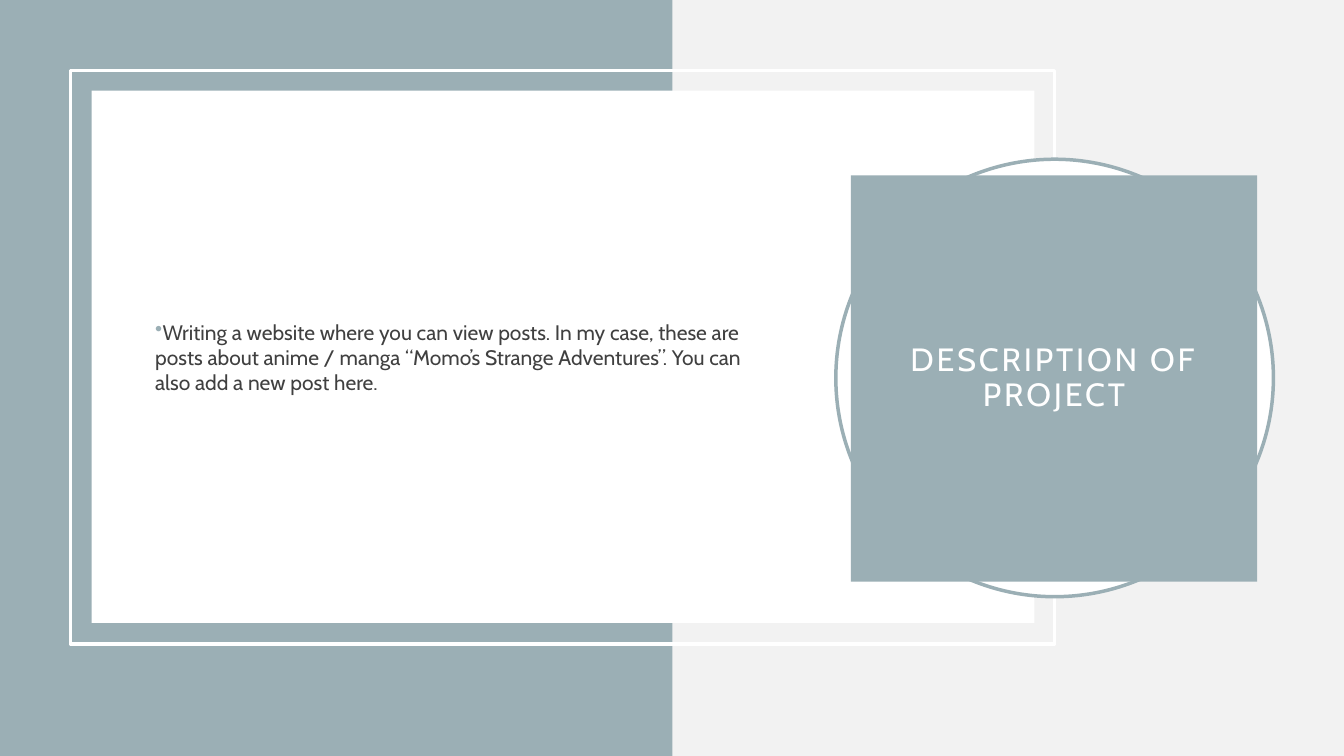
from dataclasses import dataclass, field
from typing import Optional

from lxml import etree
from pptx import Presentation
from pptx import util as u
from pptx.dml.color import RGBColor
from pptx.enum import shapes, text
from pptx.oxml import ns

TEAL, WHITE, PALE, DARK = "9BAFB5", "FFFFFF", "F2F2F2", "404040"
RECTANGLE = shapes.MSO_SHAPE.RECTANGLE
OVAL = shapes.MSO_SHAPE.OVAL


@dataclass
class Panel:
    box: tuple[float, float, float, float]
    kind: int = RECTANGLE
    fill: Optional[str] = None
    line: Optional[str] = None


@dataclass
class Caption:
    wording: str
    size: float
    color: str
    inset: Optional[float] = None
    paragraph_format: dict = field(default_factory=dict)


BACK_PANELS = [
    Panel((0, 0, 6.67, 7.5), fill=TEAL),
    Panel((0.7, 0.7, 9.76, 5.69), line=WHITE),
    Panel((0.91, 0.9, 9.35, 5.28), fill=WHITE),
    Panel((8.29, 1.58, 4.34, 4.34), OVAL, WHITE, TEAL),
]
TITLE_PANEL = Panel((8.44, 1.74, 4.03, 4.03), fill=TEAL)
BODY_BOX = (1.44, 1.4, 6.25, 4.28)

TITLE = Caption(
    "DESCRIPTION OF PROJECT", 23, WHITE, 0.2,
    {"alignment": text.PP_ALIGN.CENTER, "line_spacing": 0.9},
)
BODY = Caption(
    "Writing a website where you can view posts. In my case, these are posts "
    "about anime / manga “Momo’s Strange Adventures”. You can also add a new "
    "post here.",
    15, DARK,
    paragraph_format={"alignment": text.PP_ALIGN.LEFT, "space_before": u.Pt(10)},
)


def rgb(value: str) -> RGBColor:
    return RGBColor.from_string(value)


def inches(box: tuple) -> list:
    return [u.Inches(length) for length in box]


def set_all(target, values: dict) -> None:
    for name, value in values.items():
        setattr(target, name, value)


def add_panel(slide, panel: Panel):
    shape = slide.shapes.add_shape(panel.kind, *inches(panel.box))
    shape.shadow.inherit = False
    if panel.fill:
        shape.fill.solid()
        shape.fill.fore_color.rgb = rgb(panel.fill)
    else:
        shape.fill.background()
    if panel.line:
        shape.line.color.rgb = rgb(panel.line)
        shape.line.width = u.Pt(2.5)
    else:
        shape.line.fill.background()
    return shape


def write_caption(shape, caption: Caption):
    """Fill the shape with one paragraph and return that paragraph."""
    frame = shape.text_frame
    set_all(frame, {"word_wrap": True, "vertical_anchor": text.MSO_ANCHOR.MIDDLE})
    if caption.inset is not None:
        margins = ("margin_left", "margin_top", "margin_right", "margin_bottom")
        set_all(frame, dict.fromkeys(margins, u.Inches(caption.inset)))
    paragraph = frame.paragraphs[0]
    set_all(paragraph, caption.paragraph_format)
    run = paragraph.add_run()
    run.text = caption.wording
    set_all(run.font, {"name": "Cabin", "size": u.Pt(caption.size)})
    run.font.color.rgb = rgb(caption.color)
    return paragraph


def add_bullet(paragraph, color: str) -> None:
    properties = paragraph._p.get_or_add_pPr()
    properties.set("marL", "0")
    properties.set("indent", str(-u.Inches(0.25)))
    bullet_color = etree.SubElement(properties, ns.qn("a:buClr"))
    etree.SubElement(bullet_color, ns.qn("a:srgbClr"), val=color)
    etree.SubElement(properties, ns.qn("a:buChar"), char="•")


def space_letters(paragraph, points: float) -> None:
    for run in paragraph.runs:
        run._r.get_or_add_rPr().set("spc", str(round(points * 100)))


def main() -> None:
    presentation = Presentation()
    presentation.slide_width = u.Inches(13.33)
    presentation.slide_height = u.Inches(7.5)
    slide = presentation.slides.add_slide(presentation.slide_layouts[6])
    slide.background.fill.solid()
    slide.background.fill.fore_color.rgb = rgb(PALE)

    for panel in BACK_PANELS:
        add_panel(slide, panel)
    body = slide.shapes.add_textbox(*inches(BODY_BOX))
    add_bullet(write_caption(body, BODY), TEAL)
    title = add_panel(slide, TITLE_PANEL)
    space_letters(write_caption(title, TITLE), 2)

    presentation.save("out.pptx")


if __name__ == "__main__":
    main()
